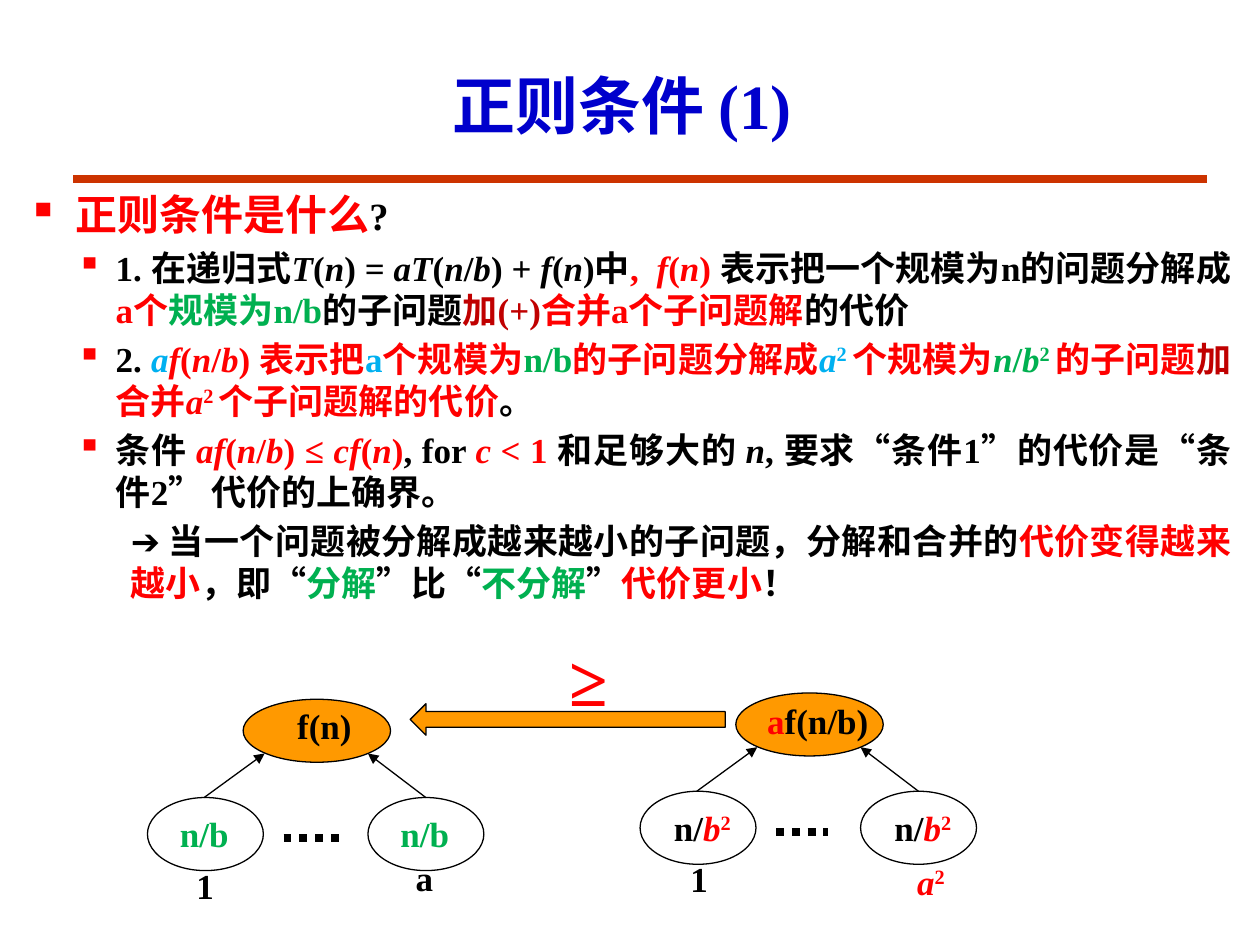
"""Build the slide on the regularity condition with its two recursion trees."""
from lxml.etree import SubElement
from pptx import Presentation
from pptx.dml.color import RGBColor
from pptx.enum.dml import MSO_LINE
from pptx.enum.shapes import MSO_CONNECTOR, MSO_SHAPE
from pptx.enum.text import MSO_ANCHOR, PP_ALIGN
from pptx.oxml.ns import qn
from pptx.util import Inches, Pt

BLACK, RED, GREEN, BLUE = "000000", "FF0000", "00B050", "00B0F0"
DARK_RED, ORANGE, RUST, NAVY = "C00000", "FF9900", "CC3300", "0000CC"


def write(paragraph, text, size=20, color=BLACK):
    """Add bold text in which _ toggles italics and ^ toggles superscript."""
    for italic, part in enumerate(text.split("_")):
        for raised, piece in enumerate(part.split("^")):
            if piece:
                run = paragraph.add_run()
                run.text = piece
                run.font.name, run.font.size = "Times New Roman", Pt(size)
                run.font.bold, run.font.italic = True, italic % 2 == 1
                run.font.color.rgb = RGBColor.from_string(color)
                if raised % 2:
                    run.font._element.set("baseline", "30000")


def connect(start, end, width=0.75, color=BLACK):
    """Draw a straight line between two grid points."""
    line = slide.shapes.add_connector(
        MSO_CONNECTOR.STRAIGHT, *(cell * step for step in (*start, *end)))
    line.line.width = Pt(width)
    line.line.color.rgb = RGBColor.from_string(color)
    SubElement(line._element.spPr, qn("a:effectLst"))
    return line


presentation = Presentation()
presentation.slide_width, presentation.slide_height = Inches(10), Inches(7.5)
cell = presentation.slide_width // 1000
slide = presentation.slides.add_slide(presentation.slide_layouts[5])

connect((58, 142), (958, 142), width=4.5, color=RUST)

title = slide.shapes.title
title.left, title.top, title.width, title.height = (cell * step for step in (75, 33, 850, 100))
title.text_frame.vertical_anchor = MSO_ANCHOR.MIDDLE
title.text_frame.paragraphs[0].alignment = PP_ALIGN.CENTER
write(title.text_frame.paragraphs[0], "正则条件 (1) ", size=36, color=NAVY)

points = [
    (0, [(RED, "正则条件是什么"), (BLACK, "?")]),
    (1, [(BLACK, "1. 在递归式_T_(_n_) = _aT_(_n_/_b_) + _f_(_n_)中"), (RED, ",  _f_(_n_) "),
         (BLACK, "表示把一个规模为n的问题分解成"), (RED, "a个"), (GREEN, "规模为n/b"),
         (BLACK, "的子问题"), (DARK_RED, "加(+)"), (RED, "合并a个子问题解"), (BLACK, "的代价")]),
    (1, [(BLACK, "2. "), (BLUE, "_a_"), (RED, "_f_(_n_/_b_) 表示把"), (BLUE, "a"),
         (RED, "个规模为"), (GREEN, "n/b"), (RED, "的子问题分解成"), (BLUE, "_a_^2 ^"),
         (RED, "个规模为"), (GREEN, "_n_/_b_^2 ^"), (RED, "的子问题"), (DARK_RED, "加"),
         (RED, "合并_a_^2 ^个子问题解的代价"), (BLACK, "。 ")]),
    (1, [(BLACK, "条件 "), (RED, "_af_(_n_/_b_) ≤ _cf_(_n_)"), (BLACK, ", for "),
         (RED, "_c_ < 1 "),
         (BLACK, "和足够大的 _n_, 要求“条件1”的代价是“条件2” 代价的上确界。 ")]),
    (2, [(BLACK, "➔ 当一个问题被分解成越来越小的子问题，分解和合并的"), (RED, "代价变得越来越小"),
         (BLACK, "，即“"), (GREEN, "分解"), (BLACK, "”比“"), (GREEN, "不分解"), (BLACK, "”"),
         (RED, "代价更小"), (BLACK, "！")]),
]
indents = [(38, -38), (70, -31), (82, 0)]
body = slide.shapes.add_textbox(*(cell * step for step in (12, 145, 975, 558))).text_frame
body.word_wrap = True
for index, (level, runs) in enumerate(points):
    paragraph = body.add_paragraph() if index else body.paragraphs[0]
    paragraph.level = level
    properties = paragraph._p.get_or_add_pPr()
    margin, hanging = indents[level]
    properties.set("marL", str(cell * margin))
    properties.set("indent", str(cell * hanging))
    if level < 2:
        bullet_color = SubElement(properties, qn("a:buClr"))
        SubElement(bullet_color, qn("a:srgbClr")).set("val", RED)
        SubElement(properties, qn("a:buChar")).set("char", "▪")
    if index:
        paragraph.space_before = Pt(4)
        paragraph.alignment = PP_ALIGN.JUSTIFY
    for color, text in runs:
        size = 20 if level else 24 if color == RED else 22
        write(paragraph, text, size=size, color=color)

leaf_label = [(BLACK, "n/"), (RED, "_b_^2^")]
trees = [
    (117, 633, 50, [(109, -79, 64, [(BLACK, "f(n)")]),
                    (16, 7, 59, [(GREEN, "n/b")]), (191, 7, 59, [(GREEN, "n/b")]),
                    (29, 48, 32, [(BLACK, "1")]), (203, 42, 25, [(BLACK, "a")])]),
    (508, 628, 41, [(91, -78, 101, [(RED, "a"), (BLACK, "f(n/b)")]),
                    (17, 7, 67, leaf_label), (192, 7, 67, leaf_label),
                    (30, 48, 32, [(BLACK, "1")]), (210, 50, 72, [(RED, "_a_^2^")])]),
]
shapes = [(MSO_SHAPE.DOWN_ARROW, 438, 446, 25, 250, ORANGE)]
labels = [(442, 500, 83, 77, 40, [(RED, "≥")])]
for left, top, dots, captions in trees:
    shapes += [(MSO_SHAPE.OVAL, left, top, 92, 58, None),
               (MSO_SHAPE.OVAL, left + 175, top, 92, 58, None),
               (MSO_SHAPE.OVAL, left + 76, top - 78, 117, 50, ORANGE)]
    labels += [(left + across, top + down, width, 44, 20, runs)
               for across, down, width, runs in captions]
    ellipsis = connect((left + 108, top + 32), (left + 108 + dots, top + 32), width=4.5)
    ellipsis.line.dash_style = MSO_LINE.ROUND_DOT
    for start, end in ((45, 93), (221, 175)):
        arrow = connect((left + start, top), (left + end, top - 35))
        SubElement(arrow.line._get_or_add_ln(), qn("a:tailEnd")).set("type", "triangle")

for kind, *box, fill in shapes:
    shape = slide.shapes.add_shape(kind, *(cell * step for step in box))
    shape.shadow.inherit = False
    shape.line.width = Pt(0.75)
    shape.line.color.rgb = RGBColor.from_string(BLACK)
    if fill:
        shape.fill.solid()
        shape.fill.fore_color.rgb = RGBColor.from_string(fill)
    else:
        shape.fill.background()
    if kind == MSO_SHAPE.DOWN_ARROW:
        shape.rotation = 90

for *box, size, runs in labels:
    frame = slide.shapes.add_textbox(*(cell * step for step in box)).text_frame
    frame.word_wrap = False
    for color, text in runs:
        write(frame.paragraphs[0], text, size=size, color=color)

presentation.save("out.pptx")
